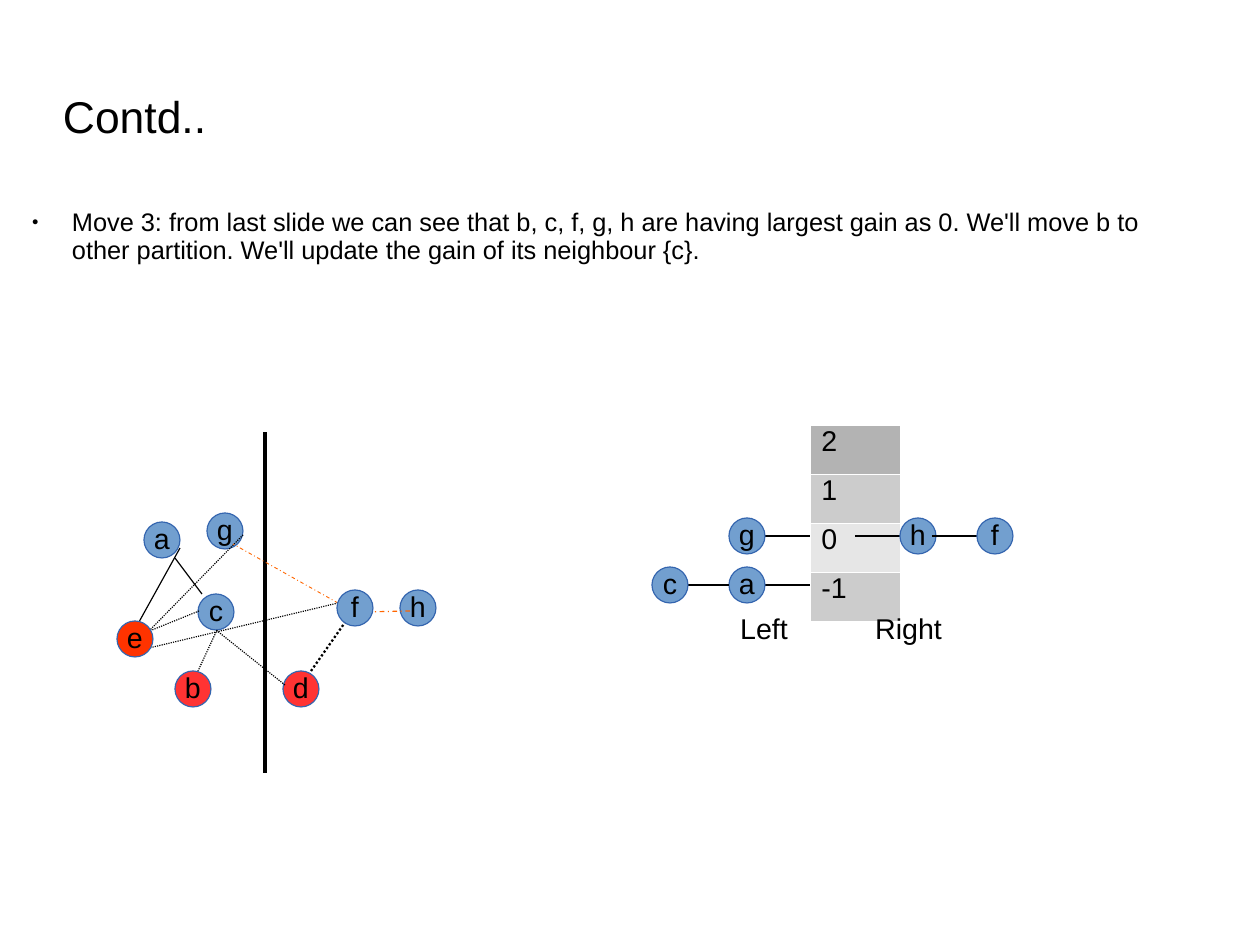
"""Build the slide on move 3 of a graph partitioning example."""
from lxml.etree import SubElement
from pptx import Presentation
from pptx.dml.color import RGBColor
from pptx.enum.dml import MSO_LINE
from pptx.enum.shapes import MSO_CONNECTOR, MSO_SHAPE
from pptx.enum.text import MSO_ANCHOR, PP_ALIGN
from pptx.oxml.ns import qn
from pptx.util import Pt

TITLE = "Contd.."
MOVE = (
    "Move 3: from last slide we can see that b, c, f, g, h are having largest gain as 0. "
    "We'll move b to other partition. We'll update the gain of its neighbour {c}."
)
COLORS = {
    "text": "000000", "free": "729FCF", "locked": "FF3333", "first_locked": "FF3300",
    "outline": "3465AF", "cut": "FF6600", "border": "FFFFFF",
}
SOLID, DOT, DASH_DOT = MSO_LINE.SOLID, MSO_LINE.ROUND_DOT, MSO_LINE.DASH_DOT

BACK_NODES = [
    ("a", 144, 522, "free"), ("g", 207, 513, "free"), ("c", 198, 594, "free"),
    ("d", 283, 671, "locked"), ("h", 400, 590, "free"),
]
FRONT_NODES = [
    ("f", 337, 590, "free"), ("b", 175, 671, "locked"), ("e", 117, 621, "first_locked"),
]
EDGES = [
    ((265, 432), (265, 773), "text", 2.83, SOLID),
    ((175, 558), (202, 594), "text", 0.75, SOLID),
    ((139, 622), (180, 548), "text", 0.75, SOLID),
    ((217, 630), (198, 671), "text", 0.75, DOT),
    ((285, 685), (216, 630), "text", 0.75, DOT),
    ((149, 631), (243, 535), "text", 0.75, DOT),
    ((338, 603), (233, 544), "cut", 0.57, DASH_DOT),
    ((410, 611), (363, 612), "cut", 0.75, DASH_DOT),
    ((199, 611), (152, 630), "text", 0.75, DOT),
    ((338, 603), (149, 648), "text", 0.75, DOT),
    ((311, 671), (346, 621), "text", 1.42, DOT),
]
GAINS = [("2", "B3B3B3"), ("1", "CCCCCC"), ("0", "E6E6E6"), ("-1", "CCCCCC")]
BUCKETS = [("0", "left", "g"), ("0", "right", "hf"), ("-1", "left", "ac")]
SIDES = [("Left", 729, 81), ("Right", 864, 90)]

PX = 8000
NODE = 36
TABLE_X, TABLE_Y, TABLE_W, ROW_H = 810, 425, 90, 49
PITCH, LINK, NODE_DROP = 77, 45, -5

deck = Presentation()
deck.slide_width, deck.slide_height = 1260 * PX, 945 * PX
slide = deck.slides.add_slide(deck.slide_layouts[5])
shapes = slide.shapes


def box(*lengths):
    return [length * PX for length in lengths]


def color(name):
    return RGBColor.from_string(COLORS[name])


def write(frame, words, size, spacing=0.93, align=PP_ALIGN.LEFT):
    frame.text = words
    paragraph = frame.paragraphs[0]
    paragraph.alignment = align
    paragraph.line_spacing = spacing
    font = paragraph.runs[0].font
    font.name, font.size, font.bold = "Arial", Pt(size), False
    font.color.rgb = color("text")
    return paragraph


def add_text(words, size, *place):
    frame = shapes.add_textbox(*box(*place)).text_frame
    frame.word_wrap = True
    return frame, write(frame, words, size)


def add_node(letter, x, y, state):
    node = shapes.add_shape(MSO_SHAPE.OVAL, *box(x, y, NODE, NODE))
    node.shadow.inherit = False
    node.fill.solid()
    node.fill.fore_color.rgb = color(state)
    node.line.color.rgb = color("outline")
    node.line.width = Pt(0.75)
    frame = node.text_frame
    frame.word_wrap = False
    frame.vertical_anchor = MSO_ANCHOR.MIDDLE
    write(frame, letter, 18, align=PP_ALIGN.CENTER)


def add_edge(start, end, shade="text", width=0.75, dash=SOLID):
    edge = shapes.add_connector(MSO_CONNECTOR.STRAIGHT, *box(*start, *end))
    edge.line.color.rgb = color(shade)
    edge.line.width = Pt(width)
    edge.line.dash_style = dash
    SubElement(edge.element.spPr, qn("a:effectLst"))


def add_border(cell):
    properties = cell._tc.get_or_add_tcPr()
    for index, side in enumerate(("a:lnL", "a:lnR", "a:lnT", "a:lnB")):
        border = properties.makeelement(qn(side), {"w": "720"})
        fill = SubElement(border, qn("a:solidFill"))
        SubElement(fill, qn("a:srgbClr"), val=COLORS["border"])
        properties.insert(index, border)


def add_gain_table():
    table = shapes.add_table(
        len(GAINS), 1, *box(TABLE_X, TABLE_Y, TABLE_W, ROW_H * len(GAINS))
    ).table
    table.first_row = table.horz_banding = False
    for row, (gain, shade) in enumerate(GAINS):
        table.rows[row].height = ROW_H * PX
        cell = table.cell(row, 0)
        cell.fill.solid()
        cell.fill.fore_color.rgb = RGBColor.from_string(shade)
        write(cell.text_frame, gain, 18, spacing=0.81)
        add_border(cell)


def add_bucket(gain, side, letters):
    row = [value for value, _ in GAINS].index(gain)
    top = TABLE_Y + row * ROW_H + NODE_DROP
    middle = top + NODE // 2
    for place, letter in enumerate(letters):
        if side == "left":
            x = TABLE_X - LINK - NODE - place * PITCH
            link_end = x + PITCH if place else TABLE_X
        else:
            x = link_end = TABLE_X + TABLE_W + place * PITCH
        add_edge((link_end - LINK, middle), (link_end, middle))
        add_node(letter, x, top, "free")


title = shapes.title
title.left, title.top, title.width, title.height = box(63, 72, 900, 90)
heading = title.text_frame
heading.margin_left = heading.margin_right = heading.margin_bottom = 0
heading.margin_top = 3 * PX
heading.vertical_anchor = MSO_ANCHOR.MIDDLE
write(heading, TITLE, 28)

body, move = add_text(MOVE, 16, 18, 207, 1134, 549)
body.margin_left = body.margin_right = body.margin_bottom = 0
body.margin_top = 2 * PX
move.space_after = Pt(14.3)
bullet = move._p.get_or_add_pPr()
bullet.set("marL", str(54 * PX))
bullet.set("indent", str(-40 * PX))
SubElement(bullet, qn("a:buSzPct"), val="45000")
SubElement(bullet, qn("a:buFont"), typeface="Arial")
SubElement(bullet, qn("a:buChar"), char="●")

for vertex in BACK_NODES:
    add_node(*vertex)
for edge_data in EDGES:
    add_edge(*edge_data)
add_gain_table()
for bucket in BUCKETS:
    add_bucket(*bucket)
for label, left, width in SIDES:
    add_text(label, 18, left, 608, width, 43)
for vertex in FRONT_NODES:
    add_node(*vertex)

deck.save("out.pptx")
